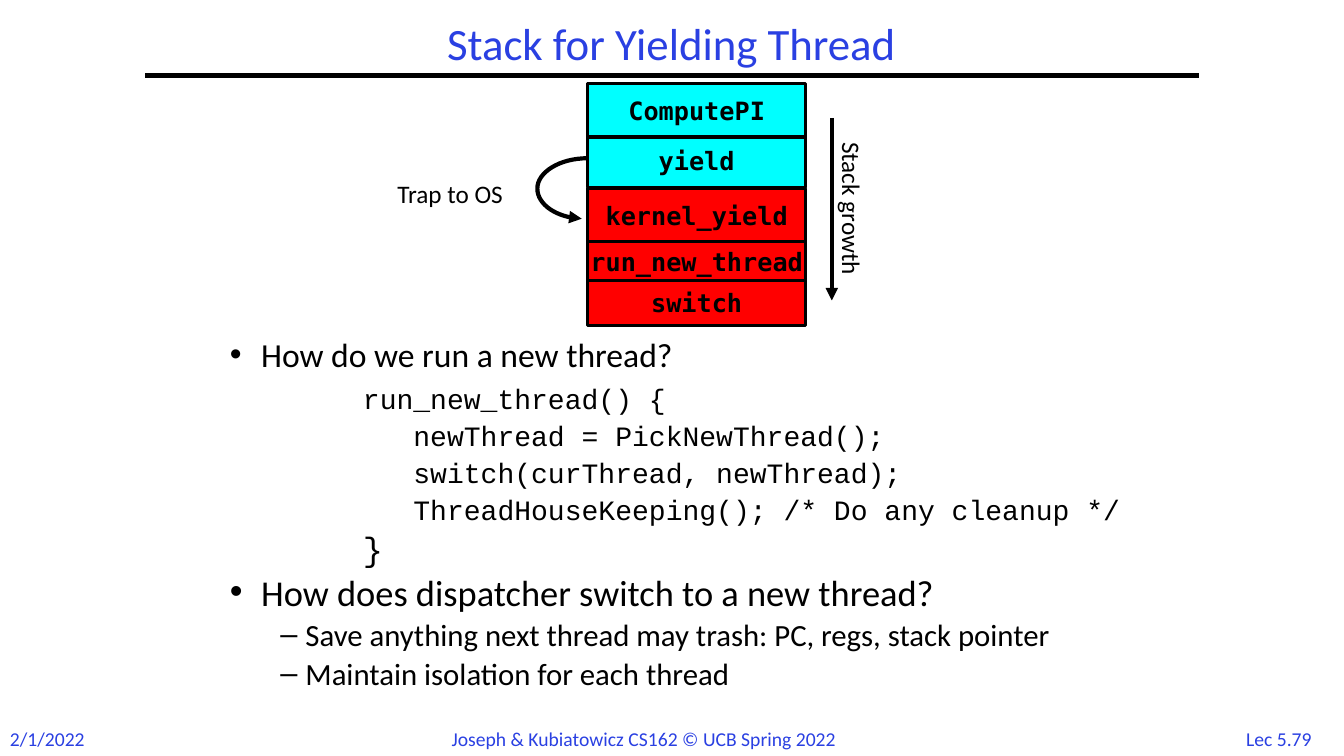
"""Build the slide that explains the stack of a yielding thread."""
import pptx
import pptx.dml.color
import pptx.enum.shapes
import pptx.enum.text
import pptx.oxml
import pptx.oxml.ns
import pptx.util

CELL = pptx.util.Inches(0.01)
COLUMNS, ROWS = 1333, 750
BLACK, BLUE, CYAN, RED = "000000", "2A40E2", "00FFFF", "FF0000"
SANS, CODE, MONO = "Calibri", "Courier New", "DejaVu Sans Mono"
NAMESPACE = pptx.oxml.ns.nsdecls("a")
Pt = pptx.util.Pt
ALIGN = pptx.enum.text.PP_ALIGN
ANCHOR = pptx.enum.text.MSO_ANCHOR


def paint(fill, color):
    fill.solid()
    fill.fore_color.rgb = pptx.dml.color.RGBColor.from_string(color)


def write(paragraph, text, color, layout, **font_format):
    run = paragraph.add_run()
    run.text = text
    paint(run.font.fill, color)
    for target, values in ((paragraph, layout), (run.font, font_format)):
        for key, value in values.items():
            setattr(target, key, value)


presentation = pptx.Presentation()
presentation.slide_width = CELL * COLUMNS
presentation.slide_height = CELL * ROWS
slide = presentation.slides.add_slide(presentation.slide_layouts[1])
shapes = slide.shapes

heading, outline = slide.placeholders
for holder, area, anchor in (
    (heading, (144, 17, 1044, 58), ANCHOR.MIDDLE),
    (outline, (218, 334, 949, 383), ANCHOR.TOP),
):
    holder.left, holder.top, holder.width, holder.height = (CELL * n for n in area)
    holder.text_frame.auto_size = pptx.enum.text.MSO_AUTO_SIZE.NONE
    holder.text_frame.vertical_anchor = anchor

write(heading.text_frame.paragraphs[0], "Stack for Yielding Thread", BLUE,
      {"alignment": ALIGN.CENTER, "line_spacing": 0.9}, name=SANS, size=Pt(32))

BULLET, LISTING, DASH = ("•", 31, -31), ("", 132, 0), ("–", 75, -25)
points = (
    ("How do we run a new thread?", BULLET, SANS, 24, 0),
    ("run_new_thread() {", LISTING, CODE, 20, 10),
    ("   newThread = PickNewThread();", LISTING, CODE, 20, 7.2),
    ("   switch(curThread, newThread);", LISTING, CODE, 20, 7.2),
    ("   ThreadHouseKeeping(); /* Do any cleanup */", LISTING, CODE, 20, 7.2),
    ("}", LISTING, CODE, 24, 7.2),
    ("How does dispatcher switch to a new thread?", BULLET, SANS, 26, 7.2),
    ("Save anything next thread may trash: PC, regs, stack pointer", DASH, SANS, 22, 7),
    ("Maintain isolation for each thread", DASH, SANS, 22, 6.6),
)
for index, (text, (mark, margin, indent), face, size, gap) in enumerate(points):
    body = outline.text_frame
    point = body.add_paragraph() if index else body.paragraphs[0]
    properties = point._p.get_or_add_pPr()
    properties.set("marL", str(CELL * margin))
    properties.set("indent", str(CELL * indent))
    bullet = f'<a:buChar {NAMESPACE} char="{mark}"/>' if mark else f"<a:buNone {NAMESPACE}/>"
    properties.append(pptx.oxml.parse_xml(bullet))
    layout = {"level": int(mark == "–"), "alignment": ALIGN.LEFT,
              "line_spacing": 0.8, "space_before": Pt(gap)}
    write(point, text, BLACK, layout, name=face, size=Pt(size))

frames = (
    ("yield", 133, 53, CYAN),
    ("ComputePI", 83, 53, CYAN),
    ("run_new_thread", 240, 38, RED),
    ("kernel_yield", 187, 53, RED),
    ("switch", 278, 45, RED),
)
for call, top, height, color in frames:
    frame = shapes.add_shape(pptx.enum.shapes.MSO_SHAPE.RECTANGLE,
                             *(CELL * n for n in (583, top, 216, height)))
    frame.shadow.inherit = False
    paint(frame.fill, color)
    paint(frame.line.fill, BLACK)
    frame.line.width = Pt(2.25)
    frame.text_frame.word_wrap = False
    frame.text_frame.vertical_anchor = ANCHOR.MIDDLE
    write(frame.text_frame.paragraphs[0], call, BLACK, {"alignment": ALIGN.CENTER},
          name=MONO, size=Pt(18), bold=True)

labels = (
    ("Stack growth", (762, 187, 166, 40), 90, 18, BLACK, ALIGN.CENTER),
    ("Trap to OS", (375, 172, 143, 40), 0, 18, BLACK, ALIGN.CENTER),
    ("2/1/2022", (0, 716, 96, 34), 0, 14, BLUE, ALIGN.LEFT),
    ("Joseph & Kubiatowicz CS162 © UCB Spring 2022", (438, 716, 455, 34), 0, 14, BLUE, ALIGN.LEFT),
    ("Lec 5.79", (1220, 716, 97, 34), 0, 14, BLUE, ALIGN.CENTER),
)
for text, area, turn, size, color, alignment in labels:
    label = shapes.add_textbox(*(CELL * n for n in area))
    label.rotation = turn
    label.text_frame.word_wrap = False
    write(label.text_frame.paragraphs[0], text, color, {"alignment": alignment},
          name=SANS, size=Pt(size))

STRAIGHT = pptx.enum.shapes.MSO_CONNECTOR.STRAIGHT
title_rule = shapes.add_connector(STRAIGHT, *(CELL * n for n in (144, 75, 1189, 75)))
growth = shapes.add_connector(STRAIGHT, *(CELL * n for n in (825, 117, 825, 298)))

bends = (
    ((583, 157), (555, 157), (533, 171), (533, 187)),
    ((533, 187), (533, 203), (552, 216), (577, 217)),
)
STEPS = 16
arc = []
for bend in bends:
    for step in range(STEPS + 1):
        t = step / STEPS
        weights = ((1 - t) ** 3, 3 * t * (1 - t) ** 2, 3 * t * t * (1 - t), t ** 3)
        arc.append([round(CELL * sum(w * n for w, n in zip(weights, axis)))
                    for axis in zip(*bend)])
builder = shapes.build_freeform(*arc[0])
builder.add_line_segments(arc[1:], close=False)
trap = builder.convert_to_shape()
trap.fill.background()
trap.shadow.inherit = False

for stroke, arrow in ((title_rule, False), (growth, True), (trap, True)):
    paint(stroke.line.fill, BLACK)
    stroke.line.width = Pt(3)
    if arrow:
        head = pptx.oxml.parse_xml(f'<a:tailEnd {NAMESPACE} type="triangle"/>')
        stroke.line._get_or_add_ln().append(head)
    if stroke is not trap:
        no_shadow = pptx.oxml.parse_xml(f"<a:effectLst {NAMESPACE}/>")
        stroke._element.spPr.append(no_shadow)

presentation.save("out.pptx")
